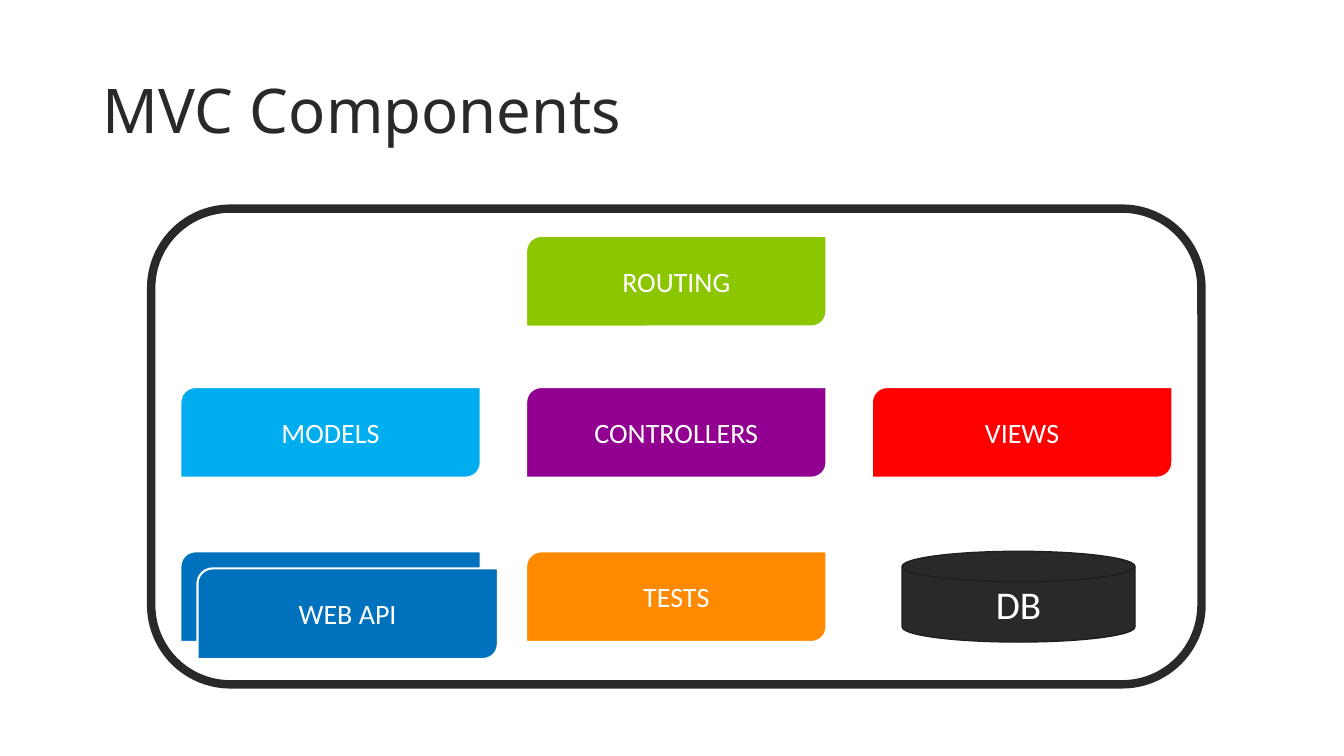
import collections
import pptx
import pptx.util
import pptx.dml.color
import pptx.enum.shapes
import pptx.enum.text

COLORS = {
    "white": "FFFFFF", "dark": "292929", "edge": "1E1E1E",
    "blue": "00AEEF", "purple": "910091", "red": "FF0000",
    "green": "8CC600", "orange": "FF8A00", "navy": "0071BC",
}
SHAPES = pptx.enum.shapes.MSO_SHAPE
ALIGN = pptx.enum.text.PP_ALIGN
Box = collections.namedtuple("Box", "left top width height")

# Component grid, in percent of the frame
COLUMN_START, COLUMN_STEP = 2.78, 32.92
ROW_TOPS = (5.72, 37.5, 72.03)
CARD_WIDTH, CARD_HEIGHT = 28.6, 19.07
STACK_SHIFT = (1.63, 3.6)
DISK_INDENT, DISK_WIDTH = 2.88, 22.17

COMPONENTS = [  # label, fill, column, row
    ("MODELS", "blue", 0, 1),
    ("CONTROLLERS", "purple", 1, 1),
    ("VIEWS", "red", 2, 1),
    ("ROUTING", "green", 1, 0),
    ("TESTS", "orange", 1, 2),
]


def part(box, left, top, width, height):
    """Return the box at the given percentages of another box."""
    return Box(round(box.left + box.width * left / 100),
               round(box.top + box.height * top / 100),
               round(box.width * width / 100),
               round(box.height * height / 100))


def color(name):
    return pptx.dml.color.RGBColor.from_string(COLORS[name])


def add_text(shape, text, size, font, ink, align):
    frame = shape.text_frame
    frame.word_wrap = True
    frame.vertical_anchor = pptx.enum.text.MSO_ANCHOR.MIDDLE
    para = frame.paragraphs[0]
    para.alignment = align
    span = para.add_run()
    span.text = text
    span.font.size = pptx.util.Pt(size)
    span.font.name = font
    span.font.color.rgb = color(ink)
    return para


def add_block(page, kind, box, fill, line, weight, label="", size=20):
    shape = page.shapes.add_shape(kind, *box)
    shape.shadow.inherit = False
    shape.fill.solid()
    shape.fill.fore_color.rgb = color(fill)
    shape.line.color.rgb = color(line)
    shape.line.width = pptx.util.Pt(weight)
    if label:
        add_text(shape, label, size, "Calibri", "white", ALIGN.CENTER)


def draw_title(page, box):
    title = page.shapes.add_textbox(*box)
    para = add_text(title, "MVC Components", 44, "Noto Sans", "dark", ALIGN.LEFT)
    para.line_spacing = 0.9


def draw_components(page, box):
    def card(column, row, fill, label="", shift=(0, 0)):
        place = part(box, COLUMN_START + column * COLUMN_STEP + shift[0],
                     ROW_TOPS[row] + shift[1], CARD_WIDTH, CARD_HEIGHT)
        add_block(page, SHAPES.ROUND_2_DIAG_RECTANGLE, place, fill, "white", 1.5, label)

    # Frame
    add_block(page, SHAPES.ROUNDED_RECTANGLE, box, "white", "dark", 6)

    # Single cards
    for label, fill, column, row in COMPONENTS:
        card(column, row, fill, label)

    # Stacked service cards
    card(0, 2, "navy")
    card(0, 2, "navy", "WEB API", STACK_SHIFT)

    # Database
    disk = part(box, COLUMN_START + 2 * COLUMN_STEP + DISK_INDENT,
                ROW_TOPS[2], DISK_WIDTH, CARD_HEIGHT)
    add_block(page, SHAPES.FLOWCHART_MAGNETIC_DISK, disk, "dark", "edge", 1, "DB", 28)


deck = pptx.Presentation()
deck.slide_width = pptx.util.Inches(13.33)
deck.slide_height = pptx.util.Inches(7.5)
page = deck.slides.add_slide(deck.slide_layouts[6])
whole = Box(0, 0, deck.slide_width, deck.slide_height)
draw_title(page, part(whole, 6.9, 5.33, 86.25, 19.33))
draw_components(page, part(whole, 11.25, 27.6, 78.15, 62.93))
deck.save("out.pptx")
